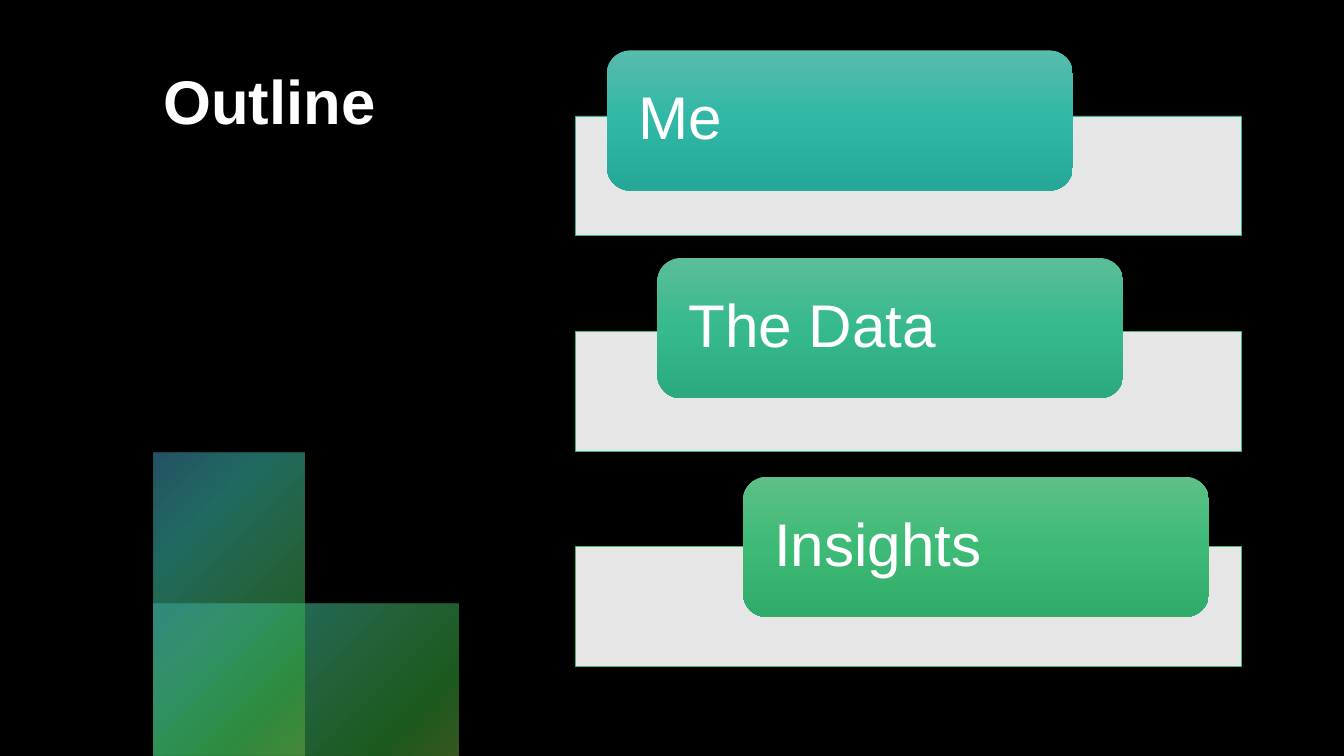
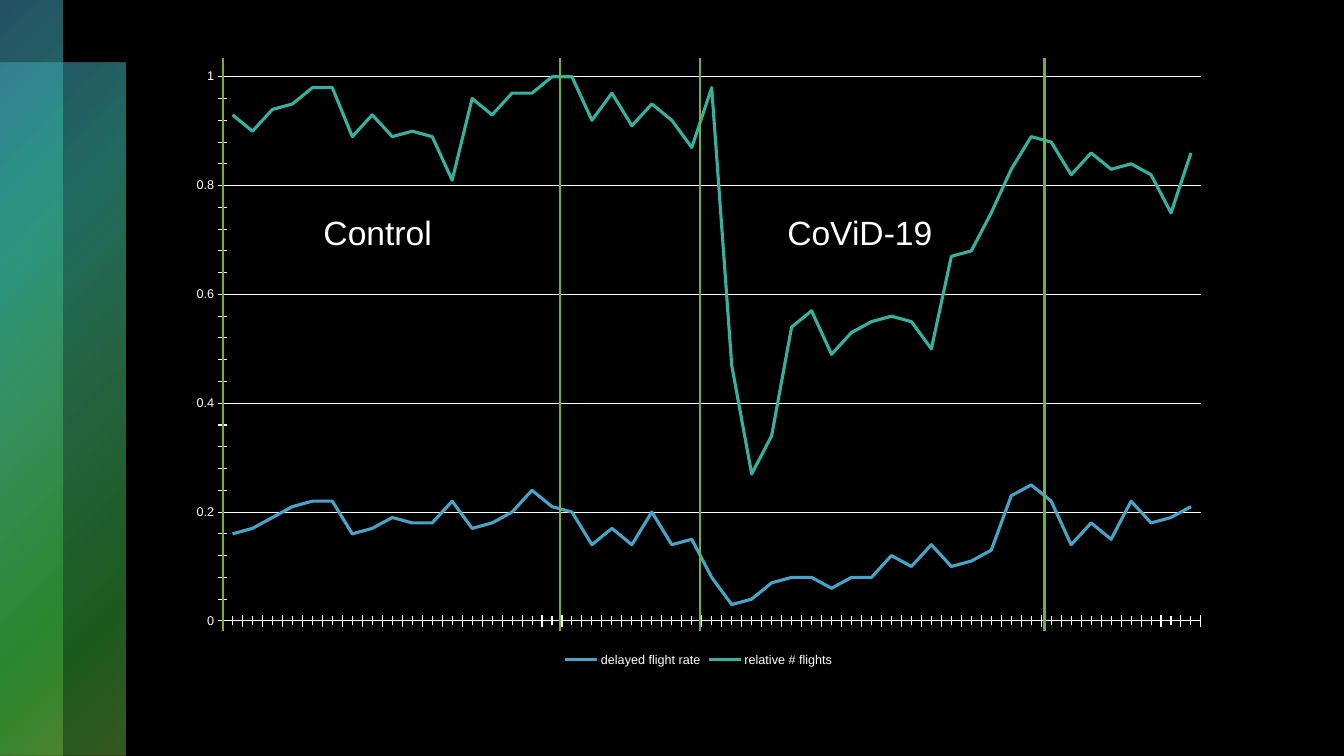
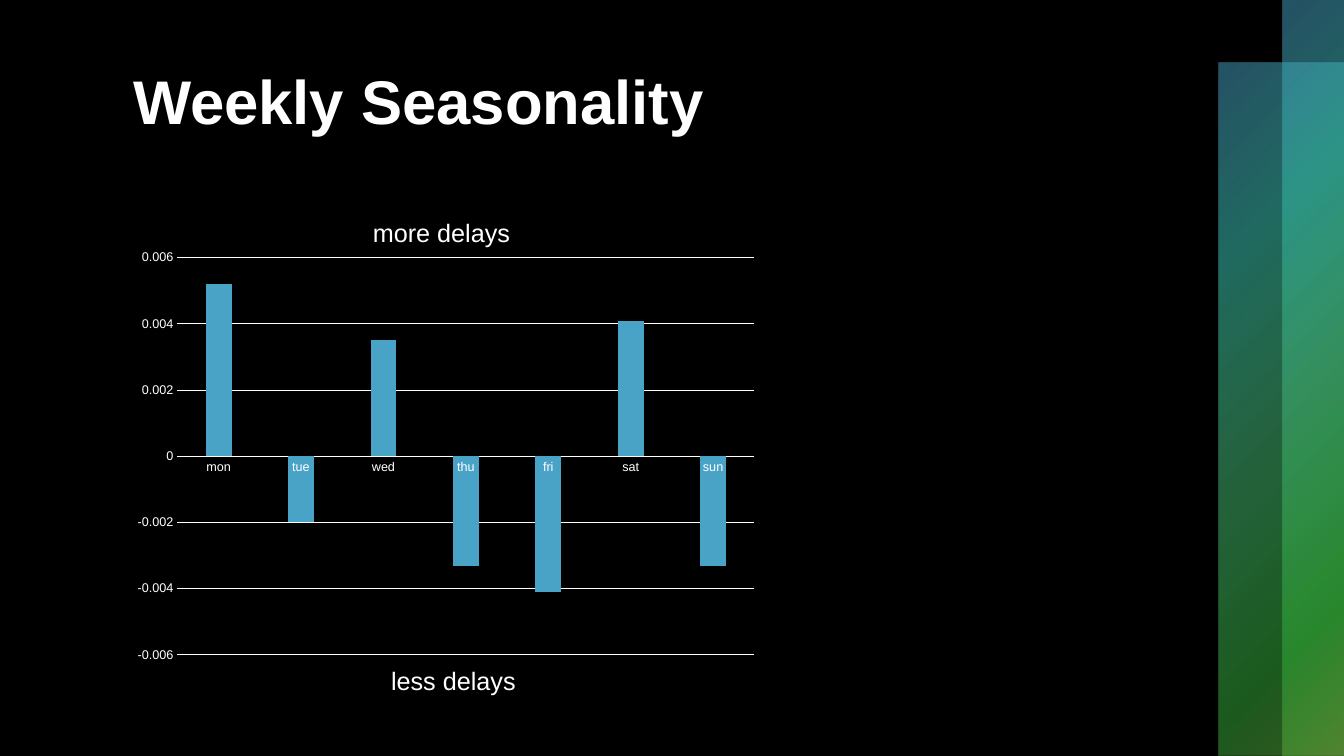
import pptx
from lxml import etree
from pptx.chart.data import CategoryChartData
from pptx.dml.color import RGBColor
from pptx.enum.chart import XL_CHART_TYPE, XL_LEGEND_POSITION, XL_TICK_LABEL_POSITION, XL_TICK_MARK
from pptx.enum.shapes import MSO_CONNECTOR, MSO_SHAPE
from pptx.enum.text import MSO_ANCHOR, PP_ALIGN
from pptx.oxml import parse_xml
from pptx.oxml.ns import nsdecls, qn
from pptx.util import Inches, Pt

FONT = "Arial"
COLORS = {
    "black": "000000",
    "white": "FFFFFF",
    "blue": "49A3C7",
    "teal": "36B1A1",
    "lime": "6CB241",
}
# (position %, colour, opacity %)
BAND_STOPS = [
    (0, COLORS["blue"], 50),
    (25, COLORS["teal"], 60),
    (50, "43B577", 55),
    (81, "37B53C", 50),
    (99, COLORS["lime"], 50),
]
CORNER_PATH = '<a:path path="circle"><a:fillToRect r="100000" b="100000"/></a:path>'
DOWNWARD = '<a:lin ang="5400000" scaled="0"/>'

# (left, top, width, height)
OUTLINE_BANDS = [(1.52, 5.99, 3.03, 1.51), (1.52, 4.49, 1.5, 3.01)]
LEFT_BANDS = [(0, 0.62, 1.24, 6.88), (0, 0, 0.62, 7.5)]
RIGHT_BANDS = [(12.09, 0.62, 1.24, 6.88), (12.72, 0, 0.62, 7.5)]

# (text, card left, card top, bar outline, card gradient)
TOPICS = [
    ("Me", 6.02, 0.5, COLORS["teal"], ("58BCAD", "30B7A6", "25A897")),
    ("The Data", 6.52, 2.56, "3CB38B", ("5BBE98", "36B98D", "2BAA7F")),
    ("Insights", 7.37, 4.73, "43B577", ("5FBF87", "3DBB76", "31AB69")),
]
BAR_TOP, BAR_STEP = 1.15, 2.135

FLIGHT_SERIES = [
    ("delayed flight rate", COLORS["blue"], [
        0.16, 0.17, 0.19, 0.21, 0.22, 0.22, 0.16, 0.17, 0.19, 0.18,
        0.18, 0.22, 0.17, 0.18, 0.2, 0.24, 0.21, 0.2, 0.14, 0.17,
        0.14, 0.2, 0.14, 0.15, 0.08, 0.03, 0.04, 0.07, 0.08, 0.08,
        0.06, 0.08, 0.08, 0.12, 0.1, 0.14, 0.1, 0.11, 0.13, 0.23,
        0.25, 0.22, 0.14, 0.18, 0.15, 0.22, 0.18, 0.19, 0.21]),
    ("relative # flights", COLORS["teal"], [
        0.93, 0.9, 0.94, 0.95, 0.98, 0.98, 0.89, 0.93, 0.89, 0.9,
        0.89, 0.81, 0.96, 0.93, 0.97, 0.97, 1, 1, 0.92, 0.97,
        0.91, 0.95, 0.92, 0.87, 0.98, 0.47, 0.27, 0.34, 0.54, 0.57,
        0.49, 0.53, 0.55, 0.56, 0.55, 0.5, 0.67, 0.68, 0.75, 0.83,
        0.89, 0.88, 0.82, 0.86, 0.83, 0.84, 0.82, 0.75, 0.86]),
]
PERIOD_MARKERS = [5.55, 6.94, 10.36, 2.21]
PERIOD_LABELS = [("Control", (3.11, 2.05, 1.48, 0.5)), ("CoViD-19", (7.71, 2.05, 1.85, 0.5))]

WEEKDAYS = ["mon", "tue", "wed", "thu", "fri", "sat", "sun"]
WEEKDAY_SERIES = [
    ("Series 1", COLORS["blue"], [0.0052, -0.002, 0.0035, -0.0033, -0.0041, 0.0041, -0.0033]),
]
DELAY_LABELS = [("less delays", (3.78, 6.55, 1.49, 0.4)), ("more delays", (3.6, 2.11, 1.63, 0.4))]


def rgb(color):
    return RGBColor.from_string(color)


def inches(place):
    return [Inches(length) for length in place]


def write(shape, text, size, bold=False, anchor=MSO_ANCHOR.TOP, spacing=None):
    frame = shape.text_frame
    frame.word_wrap = True
    frame.vertical_anchor = anchor
    para = frame.paragraphs[0]
    para.alignment = PP_ALIGN.LEFT
    if spacing:
        para.line_spacing = spacing
    span = para.add_run()
    span.text = text
    set_font(span.font, size)
    span.font.bold = bold


def set_font(font, size):
    font.name = FONT
    font.size = Pt(size)
    font.color.rgb = rgb(COLORS["white"])


def add_block(page, place, kind=MSO_SHAPE.RECTANGLE):
    """Add a preset shape with neither shadow nor outline."""
    shape = page.shapes.add_shape(kind, *inches(place))
    shape.shadow.inherit = False
    shape.line.fill.background()
    return shape


def fill_gradient(shape, stops, direction):
    stop_xml = "".join(
        f'<a:gs pos="{position * 1000}"><a:srgbClr val="{color}">'
        f'<a:alpha val="{opacity * 1000}"/></a:srgbClr></a:gs>'
        for position, color, opacity in stops)
    shape.fill.gradient()
    properties = shape._element.spPr
    properties.replace(
        properties.find(qn("a:gradFill")),
        parse_xml(f'<a:gradFill {nsdecls("a")} rotWithShape="1">'
                  f'<a:gsLst>{stop_xml}</a:gsLst>{direction}</a:gradFill>'))


def add_page(deck, bands, title=None, title_place=None):
    page = deck.slides.add_slide(deck.slide_layouts[5 if title else 6])
    for place in bands:
        fill_gradient(add_block(page, place), BAND_STOPS, CORNER_PATH)
    if title:
        box = page.shapes.title
        box.left, box.top, box.width, box.height = inches(title_place)
        write(box, title, 44, bold=True, spacing=1.1)
    return page


def add_labels(page, labels, size):
    for text, place in labels:
        write(page.shapes.add_textbox(*inches(place)), text, size)


def add_topic(page, index, topic):
    text, left, top, outline, colors = topic
    bar = add_block(page, (5.71, BAR_TOP + index * BAR_STEP, 6.6, 1.19))
    bar.fill.solid()
    bar.fill.fore_color.rgb = rgb(COLORS["white"])
    color = bar._element.spPr.find(qn("a:solidFill"))[0]
    etree.SubElement(color, qn("a:alpha"), val="90000")
    bar.line.color.rgb = rgb(outline)
    bar.line.width = Pt(0.5)

    card = add_block(page, (left, top, 4.62, 1.39), MSO_SHAPE.ROUNDED_RECTANGLE)
    stops = [(50 * step, color, 100) for step, color in enumerate(colors)]
    fill_gradient(card, stops, DOWNWARD)
    card.text_frame.margin_left = card.text_frame.margin_right = Inches(0.24)
    write(card, text, 43, anchor=MSO_ANCHOR.MIDDLE, spacing=0.9)


def add_marker(page, x):
    marker = page.shapes.add_connector(
        MSO_CONNECTOR.STRAIGHT, *inches((x, 0.58, x, 6.26)))
    marker.line.color.rgb = rgb(COLORS["lime"])
    marker.line.width = Pt(1.5)
    etree.SubElement(marker._element.spPr, qn("a:effectLst"))


def set_white_line(line):
    line.color.rgb = rgb(COLORS["white"])
    line.width = Pt(0.75)


def place_plot(chart, fractions):
    """Fix the inner plot area as x, y, w, h fractions of the chart."""
    area = chart._chartSpace.chart.plotArea
    for layout in area.findall(qn("c:layout")):
        area.remove(layout)
    sizes = "".join(f'<c:{key} val="{value}"/>' for key, value in zip("xywh", fractions))
    area.insert(0, parse_xml(
        f'<c:layout {nsdecls("c")}><c:manualLayout><c:layoutTarget val="inner"/>'
        f'<c:xMode val="edge"/><c:yMode val="edge"/>{sizes}</c:manualLayout></c:layout>'))


def add_graph(page, kind, place, categories, series, scale, plot_place):
    data = CategoryChartData()
    data.categories = categories
    for name, _, values in series:
        data.add_series(name, values)
    chart = page.shapes.add_chart(kind, *inches(place), data).chart
    chart.has_title = False
    chart.has_legend = False
    set_font(chart.font, 10)
    chart.plots[0].vary_by_categories = False
    for axis in (chart.category_axis, chart.value_axis):
        axis.major_tick_mark = axis.minor_tick_mark = XL_TICK_MARK.NONE
        set_font(axis.tick_labels.font, 9)
        set_white_line(axis.format.line)
    value_axis = chart.value_axis
    value_axis.minimum_scale, value_axis.maximum_scale, value_axis.major_unit = scale
    value_axis.has_major_gridlines = True
    set_white_line(value_axis.major_gridlines.format.line)
    place_plot(chart, plot_place)
    return chart


def build_outline(deck):
    page = add_page(deck, OUTLINE_BANDS, "Outline", (1.52, 0.5, 3.48, 3.71))
    for index, topic in enumerate(TOPICS):
        add_topic(page, index, topic)


def build_flights(deck):
    page = add_page(deck, LEFT_BANDS)
    weeks = [str(week) for week in range(1, 50)]
    chart = add_graph(page, XL_CHART_TYPE.LINE, (1.74, 0.58, 10.38, 6.08), weeks,
                      FLIGHT_SERIES, (0, 1, 0.2), (0.045, 0.03, 0.935, 0.888))
    chart.category_axis.tick_label_position = XL_TICK_LABEL_POSITION.NONE
    chart.category_axis.major_tick_mark = XL_TICK_MARK.CROSS
    for axis in (chart.category_axis, chart.value_axis):
        axis.minor_tick_mark = XL_TICK_MARK.CROSS
    for line, (_, color, _) in zip(chart.plots[0].series, FLIGHT_SERIES):
        line.smooth = False
        line.format.line.color.rgb = rgb(color)
        line.format.line.width = Pt(2.25)
    chart.has_legend = True
    chart.legend.position = XL_LEGEND_POSITION.BOTTOM
    chart.legend.include_in_layout = False
    set_font(chart.legend.font, 9)
    for x in PERIOD_MARKERS:
        add_marker(page, x)
    add_labels(page, PERIOD_LABELS, 24)


def build_seasonality(deck):
    page = add_page(deck, RIGHT_BANDS, "Weekly Seasonality", (1.22, 0.5, 10.37, 1.7))
    chart = add_graph(page, XL_CHART_TYPE.COLUMN_CLUSTERED, (1.23, 2.4, 6.38, 4.26), WEEKDAYS,
                      WEEKDAY_SERIES, (-0.006, 0.006, 0.002), (0.083, 0.037, 0.897, 0.925))
    chart.value_axis.format.line.fill.background()
    plot = chart.plots[0]
    plot.gap_width, plot.overlap = 219, -27
    columns = plot.series[0]
    columns.invert_if_negative = False
    columns.format.fill.solid()
    columns.format.fill.fore_color.rgb = rgb(WEEKDAY_SERIES[0][1])
    add_labels(page, DELAY_LABELS, 18)


def main():
    deck = pptx.Presentation()
    deck.slide_width, deck.slide_height = inches((13.33, 7.5))
    background = deck.slide_master.background.fill
    background.solid()
    background.fore_color.rgb = rgb(COLORS["black"])
    build_outline(deck)
    build_flights(deck)
    build_seasonality(deck)
    deck.save("out.pptx")


if __name__ == "__main__":
    main()
